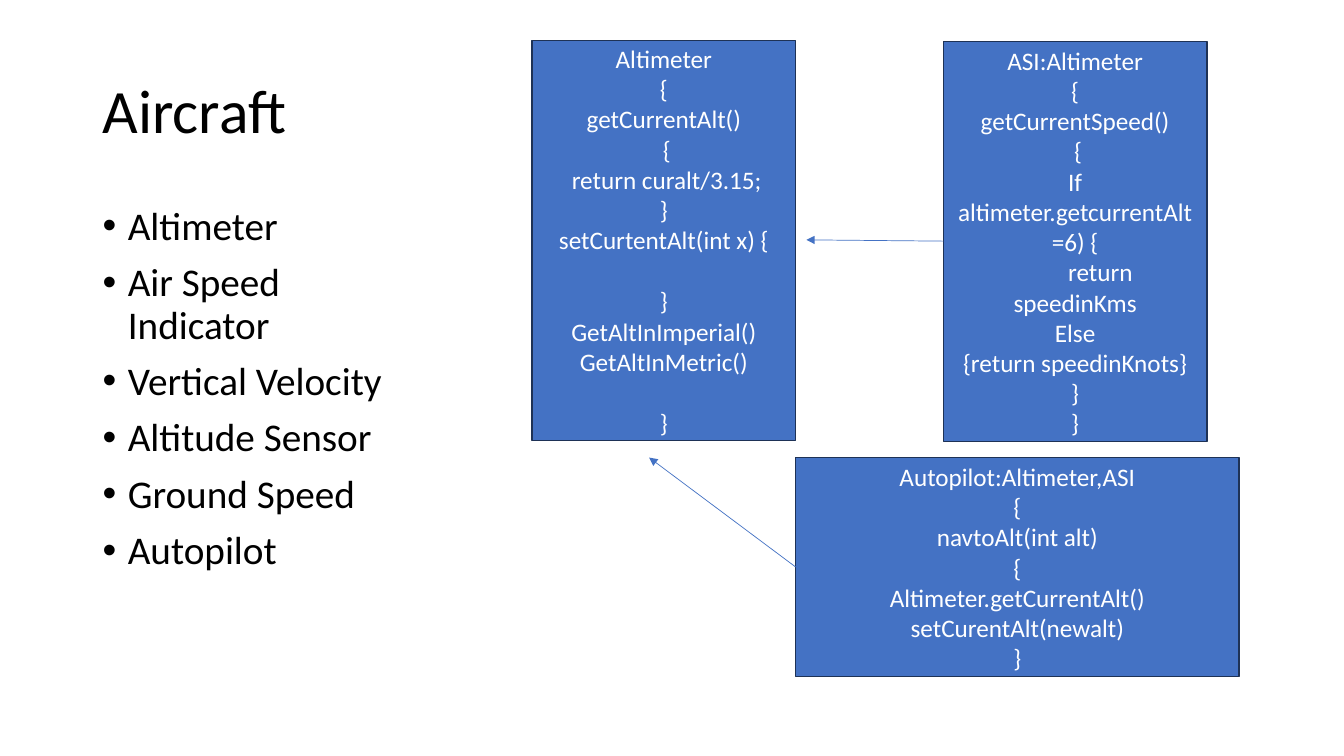
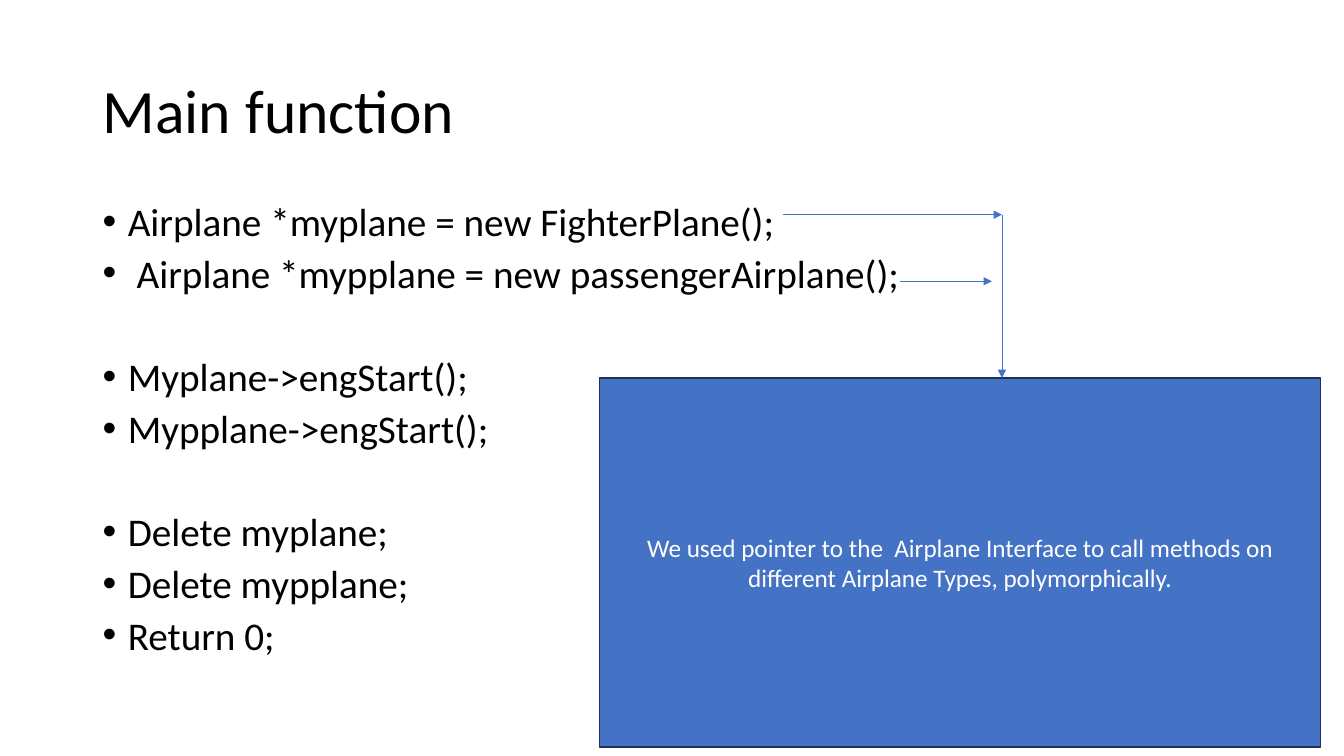
import lxml.etree
import pptx
import pptx.dml.color
import pptx.enum.shapes
import pptx.enum.text
import pptx.oxml.ns
import pptx.util

Pt, Inch = pptx.util.Pt, pptx.util.Inches
ALIGN = pptx.enum.text.PP_ALIGN
ANCHOR = pptx.enum.text.MSO_ANCHOR
SHAPE = pptx.enum.shapes.MSO_SHAPE
WIRE = pptx.enum.shapes.MSO_CONNECTOR

PAGE = (0, 0, 13.33, 7.5)
COLOR = {"ink": "000000", "fill": "4472C4", "edge": "1E3256", "note": "FFFFFF"}
TITLE = {"size": 44, "color": "ink", "format": {"line_spacing": 0.9}}
LIST = {"size": 28, "color": "ink", "bullet": "•",
        "format": {"line_spacing": 0.9, "space_before": Pt(10)}}
TIGHT = {**LIST, "format": {"line_spacing": 0.8, "space_before": Pt(10)}}
CODE = {"size": 18, "color": "note", "format": {"alignment": ALIGN.CENTER}}
FRAME = {"word_wrap": True, "vertical_anchor": ANCHOR.MIDDLE}

METER = ["Altimeter", "{", "getCurrentAlt()", " {", " return curalt/3.15;", "}",
         "setCurtentAlt(int x) {", "}", "GetAltInImperial()", "GetAltInMetric()", "}"]
SPEED = ["ASI:Altimeter", "{", "getCurrentSpeed()", " {",
         "If altimeter.getcurrentAlt =6) {", "\treturn speedinKms", "Else",
         "{return speedinKnots}", "}", "}"]
PILOT = ["Autopilot:Altimeter,ASI", "{", "navtoAlt(int alt)", "{",
         "Altimeter.getCurrentAlt()", "setCurentAlt(newalt)", "}"]
PARTS = ["Altimeter", "Air Speed Indicator", "Vertical Velocity",
         "Altitude Sensor", "Ground Speed", "Autopilot"]
CALLS = ["Airplane *myplane = new FighterPlane();",
         " Airplane *mypplane = new passengerAirplane();",
         "Myplane->engStart();", "Mypplane->engStart();",
         "Delete myplane;", "Delete mypplane;", "Return 0;"]
NOTE = ["We used pointer to the  Airplane Interface to call methods on "
        "different Airplane Types, polymorphically."]


def paint(name):
    """Return the named colour."""
    return pptx.dml.color.RGBColor.from_string(COLOR[name])


def apply(item, values):
    """Set attributes from a dict."""
    for key, value in values.items():
        setattr(item, key, value)


def add(parent, tag, **values):
    """Append a drawing element with attributes."""
    return lxml.etree.SubElement(parent, pptx.oxml.ns.qn("a:" + tag), values)


def spot(box, x, y):
    """Turn percent shares of a box into a point."""
    left, top, width, height = box
    return Inch(left + width * x / 100), Inch(top + height * y / 100)


def area(box, share):
    """Turn percent shares of a box into a rectangle."""
    x, y, wide, high = share
    return *spot(box, x, y), *spot((0, 0, *box[2:]), wide, high)


def write(shape, lines, style, gaps=(), extra=0):
    """Fill a shape with styled paragraphs, widening the chosen gaps."""
    frame = shape.text_frame
    apply(frame, FRAME)
    for index, line in enumerate(lines):
        para = frame.paragraphs[0] if index == 0 else frame.add_paragraph()
        apply(para, style["format"])
        if index in gaps:
            para.space_before = Pt(extra)
        run = para.add_run()
        run.text = line
        apply(run.font, {"size": Pt(style["size"]), "name": "Calibri"})
        run.font.color.rgb = paint(style["color"])
        if "bullet" in style:
            props = para._p.get_or_add_pPr()
            apply_indent = {"marL": Inch(0.25), "indent": Inch(-0.25)}
            for key, value in apply_indent.items():
                props.set(key, str(value))
            add(props, "buFont", typeface="Arial")
            add(props, "buChar", char=style["bullet"])


def label(slide, box, share, lines, style, anchor, **gap):
    """Place a text box."""
    shape = slide.shapes.add_textbox(*area(box, share))
    write(shape, lines, style, **gap)
    shape.text_frame.vertical_anchor = anchor


def panel(slide, box, share, lines, **gap):
    """Place a filled panel with centred text."""
    shape = slide.shapes.add_shape(SHAPE.RECTANGLE, *area(box, share))
    shape.shadow.inherit = False
    shape.fill.solid()
    shape.fill.fore_color.rgb = paint("fill")
    shape.line.color.rgb = paint("edge")
    shape.line.width = Pt(1)
    write(shape, lines, CODE, **gap)


def arrow(slide, box, start, end):
    """Draw a thin arrow between two points."""
    wire = slide.shapes.add_connector(WIRE.STRAIGHT, *spot(box, *start), *spot(box, *end))
    wire.line.color.rgb = paint("fill")
    wire.line.width = Pt(0.5)
    props = wire._element.spPr
    add(props.find(pptx.oxml.ns.qn("a:ln")), "tailEnd", type="triangle")
    add(props, "effectLst")


def outline(slide, box, title, lines, wide, style, **gap):
    """Place the title and the bullet list."""
    label(slide, box, (6.9, 5.33, 86.25, 19.33), [title], TITLE, ANCHOR.MIDDLE)
    label(slide, box, (6.9, 26.67, wide, 63.47), lines, style, ANCHOR.TOP, **gap)


def craft(slide, box):
    """Build the class diagram slide."""
    outline(slide, box, "Aircraft", PARTS, 24.9, LIST)
    panel(slide, box, (39.6, 5.33, 19.6, 52.93), METER, gaps=(7, 10), extra=22)
    panel(slide, box, (70.2, 5.47, 19.6, 52.93), SPEED)
    arrow(slide, box, (70.2, 31.9), (60, 31.73))
    panel(slide, box, (59.2, 60.53, 33, 28.93), PILOT)
    arrow(slide, box, (59.2, 75), (48.3, 60.53))


def usage(slide, box):
    """Build the main function slide."""
    outline(slide, box, "Main function", CALLS, 79.67, TIGHT, gaps=(2, 4), extra=47)
    panel(slide, box, (44.63, 50, 53.63, 48.8), NOTE)
    turn = (74.55, 28.4)
    arrow(slide, box, (58.28, 28.4), turn)
    arrow(slide, box, (66.98, 37.2), (73.8, 37.2))
    arrow(slide, box, turn, (74.55, 50))


def main():
    """Build and save the deck."""
    deck = pptx.Presentation()
    apply(deck, {"slide_width": Inch(PAGE[2]), "slide_height": Inch(PAGE[3])})
    for build in (craft, usage):
        build(deck.slides.add_slide(deck.slide_layouts[6]), PAGE)
    deck.save("out.pptx")


if __name__ == "__main__":
    main()
